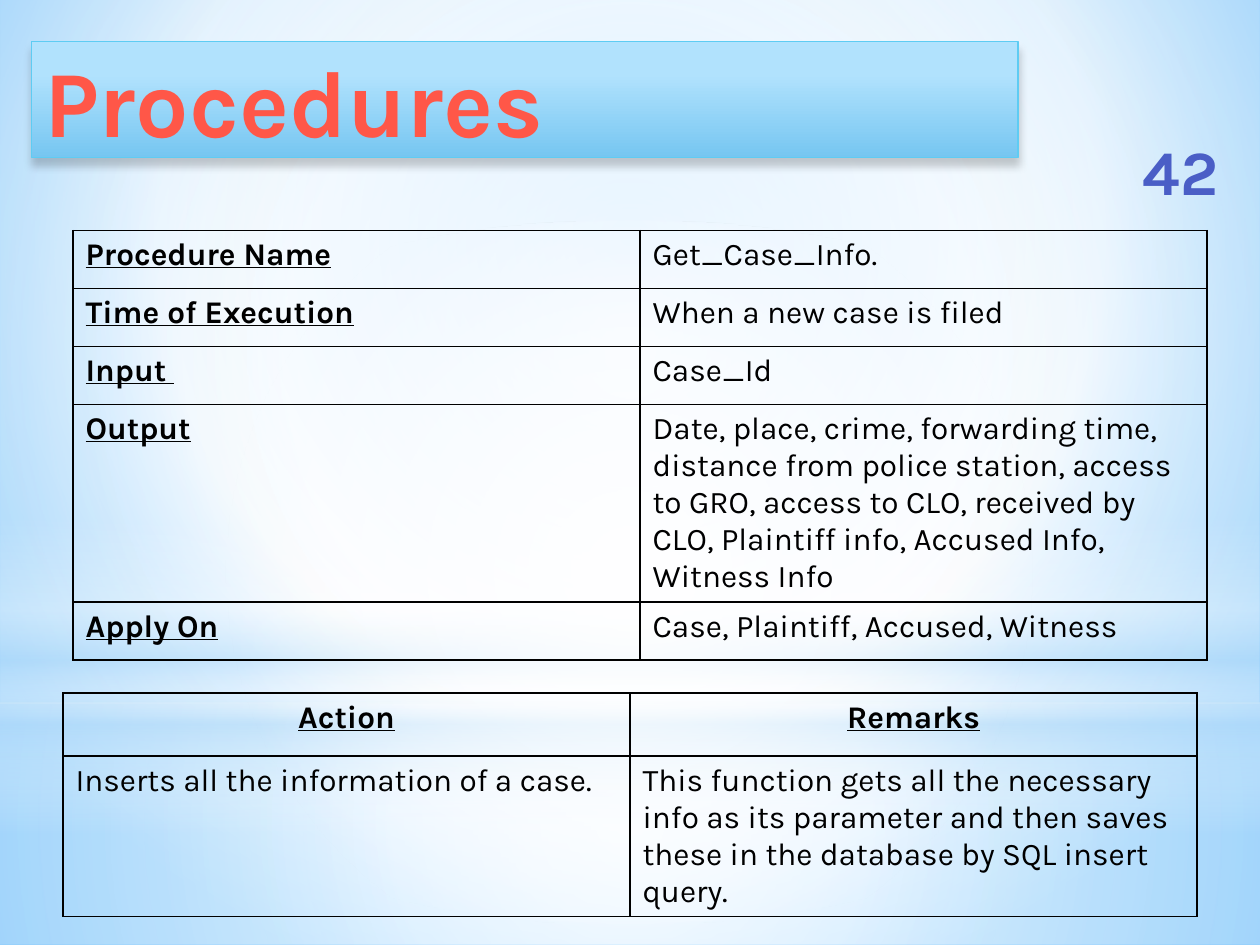
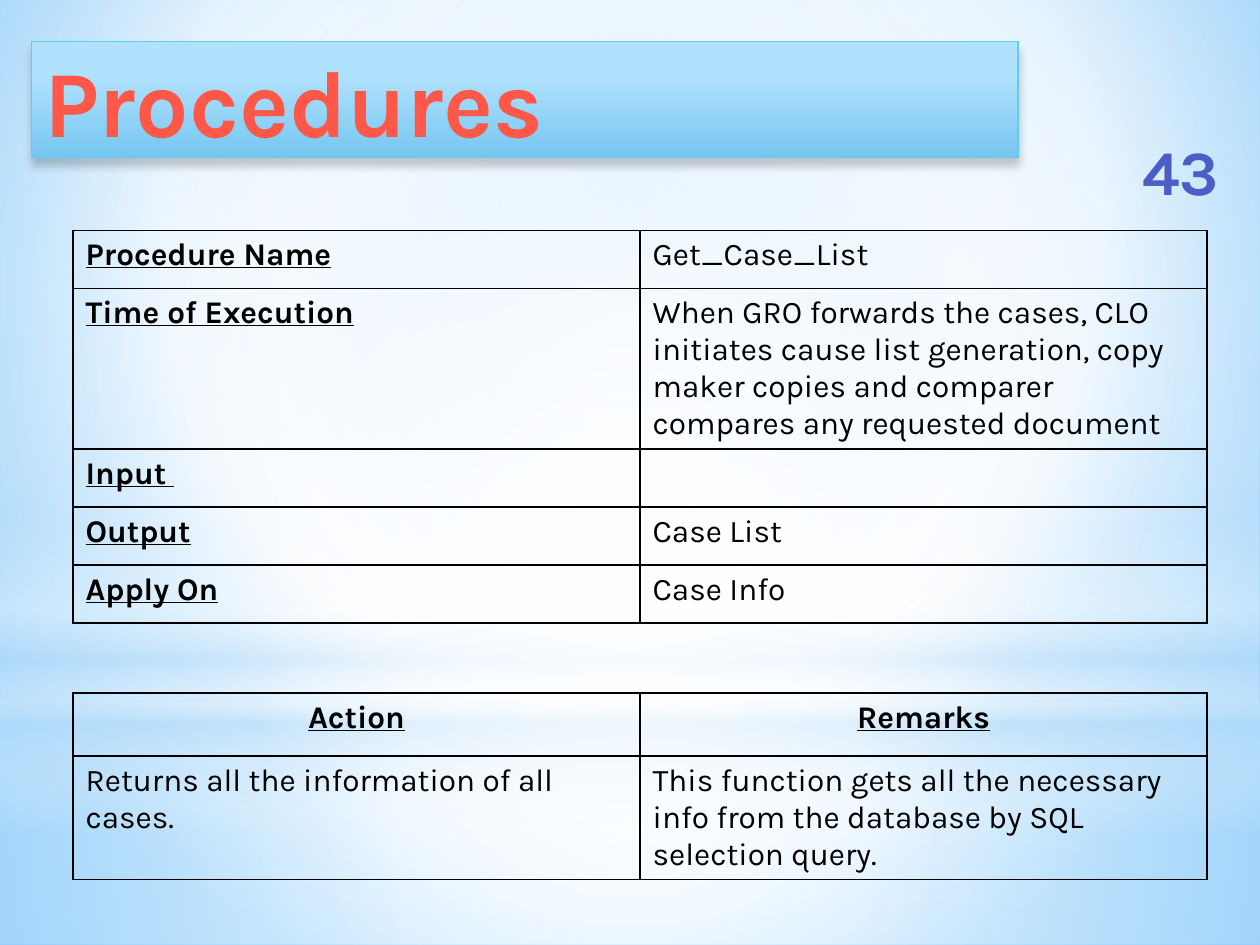
from dataclasses import dataclass, field
from typing import Any, NamedTuple, Optional

from lxml.etree import SubElement
from pptx import Presentation
from pptx.dml.color import RGBColor
from pptx.enum.shapes import MSO_SHAPE as Preset
from pptx.enum.text import MSO_ANCHOR as Anchor, MSO_AUTO_SIZE as AutoSize, PP_ALIGN as Align
from pptx.oxml.ns import qn
from pptx.util import Inches, Pt


class Box(NamedTuple):
    left: float
    top: float
    width: float
    height: float

    def lengths(self) -> list:
        return [Inches(value) for value in self]


class Stop(NamedTuple):
    position: int
    color: str
    opacity: int = 100


class Gradient(NamedTuple):
    stops: list[Stop]
    angle: int = 90
    focus: Optional[tuple[int, int, int, int]] = None


class Glow(NamedTuple):
    preset: Preset
    box: Box
    gradient: Gradient


@dataclass(frozen=True)
class Theme:
    font: str = "Karla"
    ink: str = "000000"
    band_line: str = "5ECCF3"
    title_size: int = 54
    number_size: int = 36
    table_size: int = 18
    border_width: float = 1
    center: tuple = (50, 50, 50, 50)
    sky: Gradient = Gradient(
        [Stop(0, "9ED5FF"), Stop(60, "FFFFFF"), Stop(100, "5BB9FF")], focus=(20, 10, 20, 60))
    band: Gradient = Gradient([Stop(28, "B1E2FD"), Stop(100, "76C6F1")])
    title: Gradient = Gradient([
        Stop(0, "FF6155"), Stop(25, "FF5748"), Stop(50, "EF3718"),
        Stop(75, "FF5748"), Stop(100, "FF6155")])
    number: Gradient = Gradient([
        Stop(0, "717FD2"), Stop(49, "4A5EC6"), Stop(50, "324CB5"),
        Stop(92, "31479D"), Stop(100, "30469A")])


THEME = Theme()
WHITE, MIST = "FFFFFF", "B4DCFA"
TITLE_BOX = Box(0.25, 0.33, 7.83, 0.92)
NUMBER_BOX = Box(8.88, 1.08, 0.98, 0.54)
COLUMN_WIDTH = 4.5
ROW_HEIGHT = 0.46
HEADER_HEIGHT = 0.5
DETAIL_LEFT, DETAIL_TOP, ACTION_TOP = 0.58, 1.83, 5.5
DETAIL_LABELS = ["Procedure Name", "Time of Execution", "Input ", "Output", "Apply On"]
ACTION_LABELS = ["Action", "Remarks"]

GLOWS = [
    Glow(Preset.RECTANGLE, Box(0, 5.58, 10, 1.92), Gradient(
        [Stop(0, WHITE, 91), Stop(37, WHITE, 76), Stop(100, MIST, 79)], focus=THEME.center)),
    Glow(Preset.RECTANGLE, Box(0, 0, 10, 5.58), Gradient(
        [Stop(0, WHITE, 89), Stop(48, WHITE, 62), Stop(100, MIST, 79)], focus=THEME.center)),
    Glow(Preset.RECTANGLE, Box(0, 4.12, 10, 2.5), Gradient([
        Stop(0, WHITE, 0), Stop(29, WHITE, 30), Stop(45, MIST, 40),
        Stop(55, WHITE, 26), Stop(65, MIST, 60), Stop(100, WHITE, 0)])),
    Glow(Preset.OVAL, Box(0, 1.75, 10, 5.58), Gradient(
        [Stop(0, WHITE), Stop(56, WHITE, 0)], focus=THEME.center)),
]


@dataclass
class CellStyle:
    bold: bool = False
    align: Align = Align.LEFT


@dataclass
class Procedure:
    number: str
    details: list[str]
    actions: list[str]
    action_left: float = DETAIL_LEFT
    title: str = field(default="Procedures")


LABEL = CellStyle(bold=True)
HEADER = CellStyle(bold=True, align=Align.CENTER)
BODY = CellStyle()

PROCEDURES = [
    Procedure(
        "42",
        ["Get_Case_Info.", "When a new case is filed", "Case_Id",
         "Date, place, crime, forwarding time, distance from police station, access to GRO, "
         "access to CLO, received by CLO, Plaintiff info, Accused Info, Witness Info",
         "Case, Plaintiff, Accused, Witness"],
        ["Inserts all the information of a case.",
         "This function gets all the necessary info as its parameter and then saves these "
         "in the database by SQL insert query."],
        action_left=0.5),
    Procedure(
        "43",
        ["Get_Case_List",
         "When GRO forwards the cases, CLO initiates cause list generation, copy maker copies "
         "and comparer compares any requested document",
         "", "Case List", "Case Info"],
        ["Returns all the information of all cases.",
         "This function gets all the necessary info from the database by SQL selection query."]),
]


def assign(target: Any, values: dict) -> None:
    for name, value in values.items():
        setattr(target, name, value)


def add_color(parent: Any, color: str, opacity: int = 100) -> None:
    node = SubElement(parent, qn("a:srgbClr"), val=color)
    if opacity < 100:
        SubElement(node, qn("a:alpha"), val=str(opacity * 1000))


def apply_gradient(fill: Any, owner: Any, gradient: Gradient) -> None:
    fill.gradient()
    node = owner.find(".//" + qn("a:gradFill"))
    for child in list(node):
        node.remove(child)
    node.set("rotWithShape", "1")
    stops = SubElement(node, qn("a:gsLst"))
    for stop in gradient.stops:
        add_color(SubElement(stops, qn("a:gs"), pos=str(stop.position * 1000)),
                  stop.color, stop.opacity)
    if gradient.focus:
        route = SubElement(node, qn("a:path"), {"path": "circle"})
        edges = {side: str(share * 1000) for side, share in zip("ltrb", gradient.focus)}
        SubElement(route, qn("a:fillToRect"), edges)
    else:
        SubElement(node, qn("a:lin"), ang=str(gradient.angle * 60000), scaled="0")


def add_backdrop(slide: Any, layout: Any) -> None:
    apply_gradient(layout.background.fill, layout.element, THEME.sky)
    for index, glow in enumerate(GLOWS):
        shape = slide.shapes.add_shape(glow.preset, *glow.box.lengths())
        shape.shadow.inherit = False
        shape.line.fill.background()
        apply_gradient(shape.fill, shape.element.spPr, glow.gradient)
        shape.element.nvSpPr.cNvPr.set("id", str(20 + index))
        layout.shapes.element.insert(2 + index, shape.element)


def write_display(shape: Any, text: str, size: int, gradient: Gradient, align: Align) -> None:
    assign(shape.text_frame, {"auto_size": AutoSize.NONE, "word_wrap": True,
                              "vertical_anchor": Anchor.MIDDLE})
    paragraph = shape.text_frame.paragraphs[0]
    paragraph.alignment = align
    run = paragraph.add_run()
    run.text = text
    assign(run.font, {"name": THEME.font, "size": Pt(size), "bold": True})
    apply_gradient(run.font.fill, run.font._element, gradient)


def add_title(slide: Any, text: str) -> None:
    title = slide.shapes.title
    assign(title, dict(zip(Box._fields, TITLE_BOX.lengths())))
    properties = title.element.spPr
    geometry = SubElement(properties, qn("a:prstGeom"), prst="roundRect")
    SubElement(geometry, qn("a:avLst"))
    apply_gradient(title.fill, properties, THEME.band)
    title.line.color.rgb = RGBColor.from_string(THEME.band_line)
    title.line.width = Pt(0.75)
    effects = SubElement(properties, qn("a:effectLst"))
    shadow = SubElement(effects, qn("a:outerShdw"), blurRad=str(Pt(5)), dist=str(Pt(4)),
                        dir=str(90 * 60000), rotWithShape="0")
    add_color(shadow, THEME.ink, 20)
    write_display(title, text, THEME.title_size, THEME.title, Align.LEFT)


def add_number(slide: Any, text: str) -> None:
    box = slide.shapes.add_textbox(*NUMBER_BOX.lengths())
    write_display(box, text, THEME.number_size, THEME.number, Align.CENTER)


def add_borders(cell: Any) -> None:
    properties = cell._tc.get_or_add_tcPr()
    for index, side in enumerate(("a:lnL", "a:lnR", "a:lnT", "a:lnB")):
        line = SubElement(properties, qn(side), w=str(Pt(THEME.border_width)))
        add_color(SubElement(line, qn("a:solidFill")), THEME.ink)
        properties.insert(index, line)


def write_cell(cell: Any, text: str, style: CellStyle) -> None:
    cell.fill.background()
    add_borders(cell)
    paragraph = cell.text_frame.paragraphs[0]
    paragraph.alignment = style.align
    if text:
        run = paragraph.add_run()
        run.text = text
        assign(run.font, {"name": THEME.font, "size": Pt(THEME.table_size),
                          "bold": style.bold, "underline": style.bold})
        run.font.color.rgb = RGBColor.from_string(THEME.ink)


def add_grid(slide: Any, left: float, top: float, rows: list, styles: list,
             heights: list[float]) -> None:
    box = Box(left, top, 2 * COLUMN_WIDTH, sum(heights))
    table = slide.shapes.add_table(len(rows), 2, *box.lengths()).table
    assign(table, {"first_row": False, "horz_banding": False})
    for row, texts, row_styles, height in zip(table.rows, rows, styles, heights):
        row.height = Inches(height)
        for cell, text, style in zip(row.cells, texts, row_styles):
            write_cell(cell, text, style)


def add_procedure(slide: Any, procedure: Procedure) -> None:
    add_title(slide, procedure.title)
    add_number(slide, procedure.number)
    details = list(zip(DETAIL_LABELS, procedure.details))
    add_grid(slide, DETAIL_LEFT, DETAIL_TOP, details,
             [(LABEL, BODY)] * len(details), [ROW_HEIGHT] * len(details))
    add_grid(slide, procedure.action_left, ACTION_TOP, [ACTION_LABELS, procedure.actions],
             [(HEADER, HEADER), (BODY, BODY)], [HEADER_HEIGHT, ROW_HEIGHT])


def main() -> None:
    presentation = Presentation()
    assign(presentation, {"slide_width": Inches(10), "slide_height": Inches(7.5)})
    layout = presentation.slide_layouts.get_by_name("Title Only")
    slides = [presentation.slides.add_slide(layout) for _ in PROCEDURES]
    add_backdrop(slides[0], layout)
    for slide, procedure in zip(slides, PROCEDURES):
        add_procedure(slide, procedure)
    presentation.save("out.pptx")


if __name__ == "__main__":
    main()
